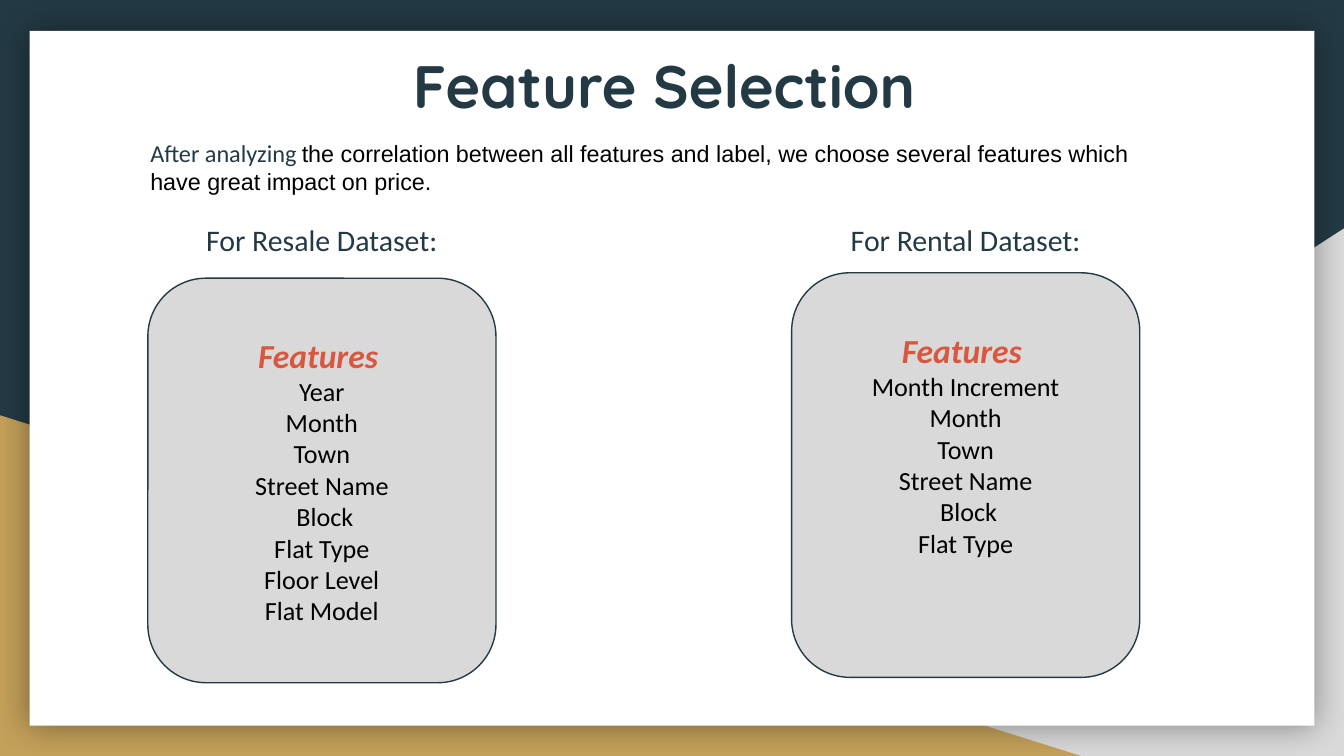
from pptx import Presentation
from pptx.dml.color import RGBColor
from pptx.enum.shapes import MSO_SHAPE
from pptx.enum.text import MSO_ANCHOR, PP_ALIGN
from pptx.oxml import parse_xml
from pptx.oxml.ns import nsdecls, qn
from pptx.util import Inches, Pt

NAVY = RGBColor(0x23, 0x3A, 0x44)
GOLD = RGBColor(0xC4, 0xA1, 0x5A)
GREY = RGBColor(0xD9, 0xD9, 0xD9)
WHITE = RGBColor(0xFF, 0xFF, 0xFF)
BLACK = RGBColor(0, 0, 0)
CORAL = RGBColor(0xD9, 0x56, 0x3F)

# Content
TITLE = "Feature Selection "
INTRO = [
    ("After analyzing ", "Calibri", 13, NAVY),
    ("the correlation between all features and label, we choose several "
     "features which have great impact on price.", "Arial", 12.5, BLACK),
]
SHARED = ["Month", "Town", "Street Name", " Block", " Flat Type "]
DATASETS = [
    {"heading": "For Resale Dataset:", "heading_at": (1.19, 1.48, 2.41, 0.6),
     "card_at": (1.1, 2.07, 2.59, 3.01),
     "features": ["Year", *SHARED, "Floor Level", "Flat Model"]},
    {"heading": "For Rental Dataset:", "heading_at": (6.14, 1.48, 2.09, 0.6),
     "card_at": (5.89, 2.03, 2.59, 3.01),
     "features": ["Month Increment", *SHARED]},
]
INSET = 0.1
FEATURE_LINE = 0.23  # height of one feature line
MOST_FEATURES = max(len(dataset["features"]) for dataset in DATASETS)

# Widescreen 16:9 page
deck = Presentation()
deck.slide_width = Inches(10)
deck.slide_height = Inches(10) * 9 // 16
slide = deck.slides.add_slide(deck.slide_layouts[6])
slide.background.fill.solid()
slide.background.fill.fore_color.rgb = NAVY


def add_panel(kind, at, color):
    panel = slide.shapes.add_shape(kind, *map(Inches, at))
    panel.shadow.inherit = False
    panel.fill.solid()
    panel.fill.fore_color.rgb = color
    panel.line.fill.background()
    return panel


def set_frame(shape, anchor, bottom=INSET):
    frame = shape.text_frame
    frame.word_wrap = True
    frame.vertical_anchor = anchor
    frame.margin_left = frame.margin_right = frame.margin_top = Inches(INSET)
    frame.margin_bottom = Inches(bottom)
    return frame


def add_text(at, anchor=MSO_ANCHOR.TOP):
    return set_frame(slide.shapes.add_textbox(*map(Inches, at)), anchor)


def set_font(font, name, size, color, bold=False, italic=False):
    font.name, font.size, font.bold, font.italic = name, Pt(size), bold, italic
    font.color.rgb = color


def write_line(para, words, *style):
    para.text = words
    para.alignment = PP_ALIGN.CENTER
    set_font(para.font, *style)


# Corner triangles and white page with a soft shadow
grey_corner = add_panel(MSO_SHAPE.RIGHT_TRIANGLE, (3.92, 1.7, 6.08, 3.93), GREY)
grey_corner.element.spPr.find(qn("a:xfrm")).set("flipH", "1")
add_panel(MSO_SHAPE.RIGHT_TRIANGLE, (0, 3.09, 8.06, 2.54), GOLD)
page = add_panel(MSO_SHAPE.RECTANGLE, (0.22, 0.23, 9.56, 5.17), WHITE)
effects = page.element.spPr.find(qn("a:effectLst"))
effects.append(parse_xml(
    f'<a:outerShdw {nsdecls("a")} blurRad="{Pt(18)}" dist="0" dir="0" '
    'algn="ctr" rotWithShape="0"><a:srgbClr val="000000">'
    '<a:alpha val="40000"/></a:srgbClr></a:outerShdw>'))

# Title
write_line(add_text((0.9, 0.26, 8.21, 0.9)).paragraphs[0],
           TITLE, "Quicksand", 32, NAVY, True)

# Dataset headings and feature cards
for dataset in DATASETS:
    heading = add_text(dataset["heading_at"], MSO_ANCHOR.MIDDLE)
    write_line(heading.paragraphs[0], dataset["heading"], "Calibri", 16, NAVY)

    card = add_panel(MSO_SHAPE.ROUNDED_RECTANGLE, dataset["card_at"], GREY)
    card.adjustments[0] = 0.167
    card.line.color.rgb = NAVY
    card.line.width = Pt(0.75)
    # A shorter list starts at the same height as the longest one
    missing = MOST_FEATURES - len(dataset["features"])
    frame = set_frame(card, MSO_ANCHOR.MIDDLE, INSET + missing * FEATURE_LINE)
    write_line(frame.paragraphs[0], "Features ", "Calibri", 18, CORAL, True, True)
    for feature in dataset["features"]:
        write_line(frame.add_paragraph(), feature, "Calibri", 14, BLACK)

# Introduction
intro = add_text((1.02, 0.93, 7.85, 0.72)).paragraphs[0]
for words, *style in INTRO:
    span = intro.add_run()
    span.text = words
    set_font(span.font, *style)

deck.save("out.pptx")
